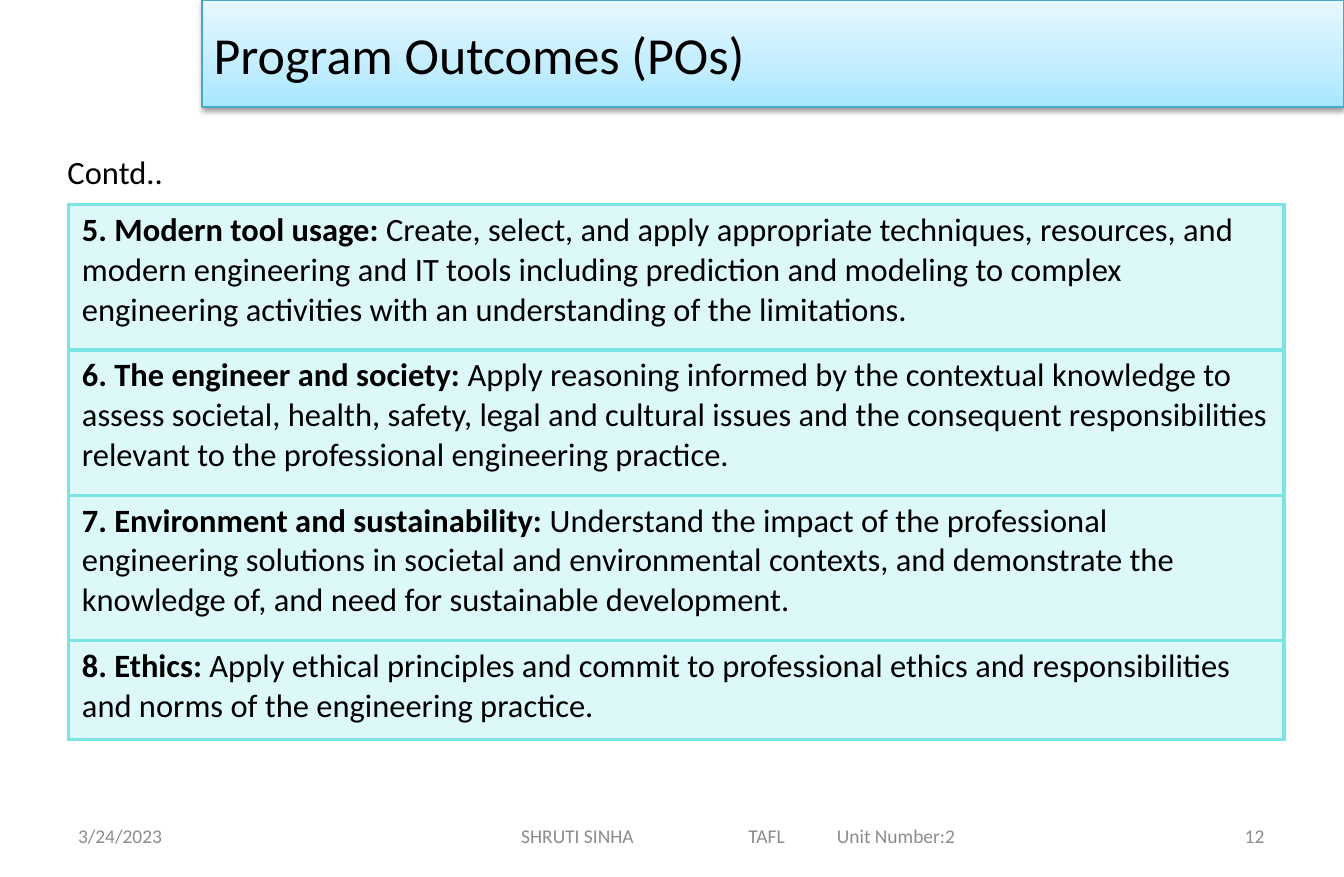
from lxml import etree
from pptx import Presentation
from pptx.dml.color import RGBColor
from pptx.enum.shapes import MSO_SHAPE
from pptx.enum.text import MSO_ANCHOR, MSO_AUTO_SIZE, PP_ALIGN
from pptx.oxml import parse_xml
from pptx.oxml.ns import nsdecls, qn
from pptx.util import Pt

RECTANGLE = MSO_SHAPE.RECTANGLE
MIDDLE = MSO_ANCHOR.MIDDLE
FIT_SHAPE = MSO_AUTO_SIZE.SHAPE_TO_FIT_TEXT
LEFT, RIGHT = PP_ALIGN.LEFT, PP_ALIGN.RIGHT

FONT = "Calibri"
BLACK, GREY, TURQUOISE = "000000", "8C8C8C", "7BE5E5"
BANNER_LINE = "46AAC5"
BANNER_STOPS = [(0, "A7E6FF"), (35, "C1EDFF"), (100, "E7F8FF")]
FOOTER_TABS = (140, 194.5)

OUTCOMES = [
    ("5. Modern tool usage: ",
     "Create, select, and apply appropriate techniques, resources, and modern "
     "engineering and IT tools including prediction and modeling to complex "
     "engineering activities with an understanding of the limitations."),
    ("6. The engineer and society:",
     " Apply reasoning informed by the contextual knowledge to assess societal, "
     "health, safety, legal and cultural issues and the consequent "
     "responsibilities relevant to the professional engineering practice."),
    ("7. Environment and sustainability: ",
     "Understand the impact of the professional engineering solutions in societal "
     "and environmental contexts, and demonstrate the knowledge of, and need for "
     "sustainable development."),
    ("8. Ethics:",
     " Apply ethical principles and commit to professional ethics and "
     "responsibilities and norms of the engineering practice."),
]
ROW_HEIGHTS = [89.5, 89.5, 89.5, 61]


def color(hex_value):
    return RGBColor.from_string(hex_value)


def add_text(paragraph, text, size=20, hex_value=BLACK, bold=False, align=LEFT):
    paragraph.alignment = align
    run = paragraph.add_run()
    run.text = text
    run.font.name = FONT
    run.font.size = Pt(size)
    run.font.bold = bold
    run.font.color.rgb = color(hex_value)


def add_label(slide, text, left, top, width, height, wrap=True, tabs=(), **text_format):
    """Add a one-paragraph text box, with optional tab stops."""
    box = slide.shapes.add_textbox(Pt(left), Pt(top), Pt(width), Pt(height))
    frame = box.text_frame
    frame.word_wrap = wrap
    paragraph = frame.paragraphs[0]
    if tabs:
        tab_list = etree.SubElement(paragraph._p.get_or_add_pPr(), qn("a:tabLst"))
        for position in tabs:
            etree.SubElement(tab_list, qn("a:tab"), pos=str(Pt(position)), algn="l")
    add_text(paragraph, text, **text_format)
    return frame


def add_banner(slide, title, left, top, width, height):
    banner = slide.shapes.add_shape(RECTANGLE, Pt(left), Pt(top), Pt(width), Pt(height))
    banner.line.color.rgb = color(BANNER_LINE)
    banner.line.width = Pt(0.75)
    banner.shadow.inherit = False

    stops = "".join(f'<a:gs pos="{percent * 1000}"><a:srgbClr val="{value}"/></a:gs>'
                    for percent, value in BANNER_STOPS)
    properties = banner._element.spPr
    properties.find(qn("a:prstGeom")).addnext(parse_xml(
        f'<a:gradFill {nsdecls("a")} rotWithShape="1"><a:gsLst>{stops}</a:gsLst>'
        '<a:lin ang="16200000" scaled="0"/></a:gradFill>'))
    properties.find(qn("a:effectLst")).append(parse_xml(
        f'<a:outerShdw {nsdecls("a")} blurRad="{Pt(3.1)}" dist="{Pt(1.6)}" '
        'dir="5400000" rotWithShape="0"><a:srgbClr val="000000">'
        '<a:alpha val="38000"/></a:srgbClr></a:outerShdw>'))

    frame = banner.text_frame
    frame.vertical_anchor = MIDDLE
    add_text(frame.paragraphs[0], title, size=32)


def style_cell(cell):
    """Give a cell a pale see-through fill, margins and four borders."""
    cell.margin_left = cell.margin_right = Pt(8.5)
    cell.margin_top = cell.margin_bottom = Pt(3.6)
    cell.fill.solid()
    cell.fill.fore_color.rgb = color(TURQUOISE)
    properties = cell._tc.get_or_add_tcPr()
    fill_color = properties.find(f'{qn("a:solidFill")}/{qn("a:srgbClr")}')
    etree.SubElement(fill_color, qn("a:alpha"), val="25000")
    for index, side in enumerate("LRTB"):
        properties.insert(index, parse_xml(
            f'<a:ln{side} {nsdecls("a")} w="{Pt(2.25)}"><a:solidFill>'
            f'<a:srgbClr val="{TURQUOISE}"/></a:solidFill></a:ln{side}>'))


def add_outcomes(slide, left, top, width):
    shape = slide.shapes.add_table(len(OUTCOMES), 1, Pt(left), Pt(top),
                                   Pt(width), Pt(sum(ROW_HEIGHTS)))
    table = shape.table
    table.first_row = table.horz_banding = False
    for index, (heading, description) in enumerate(OUTCOMES):
        table.rows[index].height = Pt(ROW_HEIGHTS[index])
        cell = table.cell(index, 0)
        style_cell(cell)
        paragraph = cell.text_frame.paragraphs[0]
        add_text(paragraph, heading, bold=True)
        add_text(paragraph, description)


def add_footer(slide, left, top, width, height):
    details = "SHRUTI SINHA\tTAFL\tUnit Number:2"
    side_width = 193
    parts = [
        ("3/24/2023", left, side_width, LEFT, ()),
        (details, left + 273, 300, LEFT, FOOTER_TABS),
        ("12", left + width - side_width, side_width, RIGHT, ()),
    ]
    for text, part_left, part_width, align, tabs in parts:
        frame = add_label(slide, text, part_left, top, part_width, height,
                          tabs=tabs, size=12, hex_value=GREY, align=align)
        frame.vertical_anchor = MIDDLE


def main():
    presentation = Presentation()
    presentation.slide_width, presentation.slide_height = Pt(828), Pt(540)
    slide = presentation.slides.add_slide(presentation.slide_layouts[6])
    add_outcomes(slide, 42, 126, 749)
    contd = add_label(slide, "Contd..", 34.5, 90, 73.5, 31.5, wrap=False)
    contd.auto_size = FIT_SHAPE
    add_banner(slide, "Program Outcomes (POs)", 124.5, 0, 703.5, 66)
    add_footer(slide, 41, 500.5, 745, 28.5)
    presentation.save("out.pptx")


if __name__ == "__main__":
    main()
